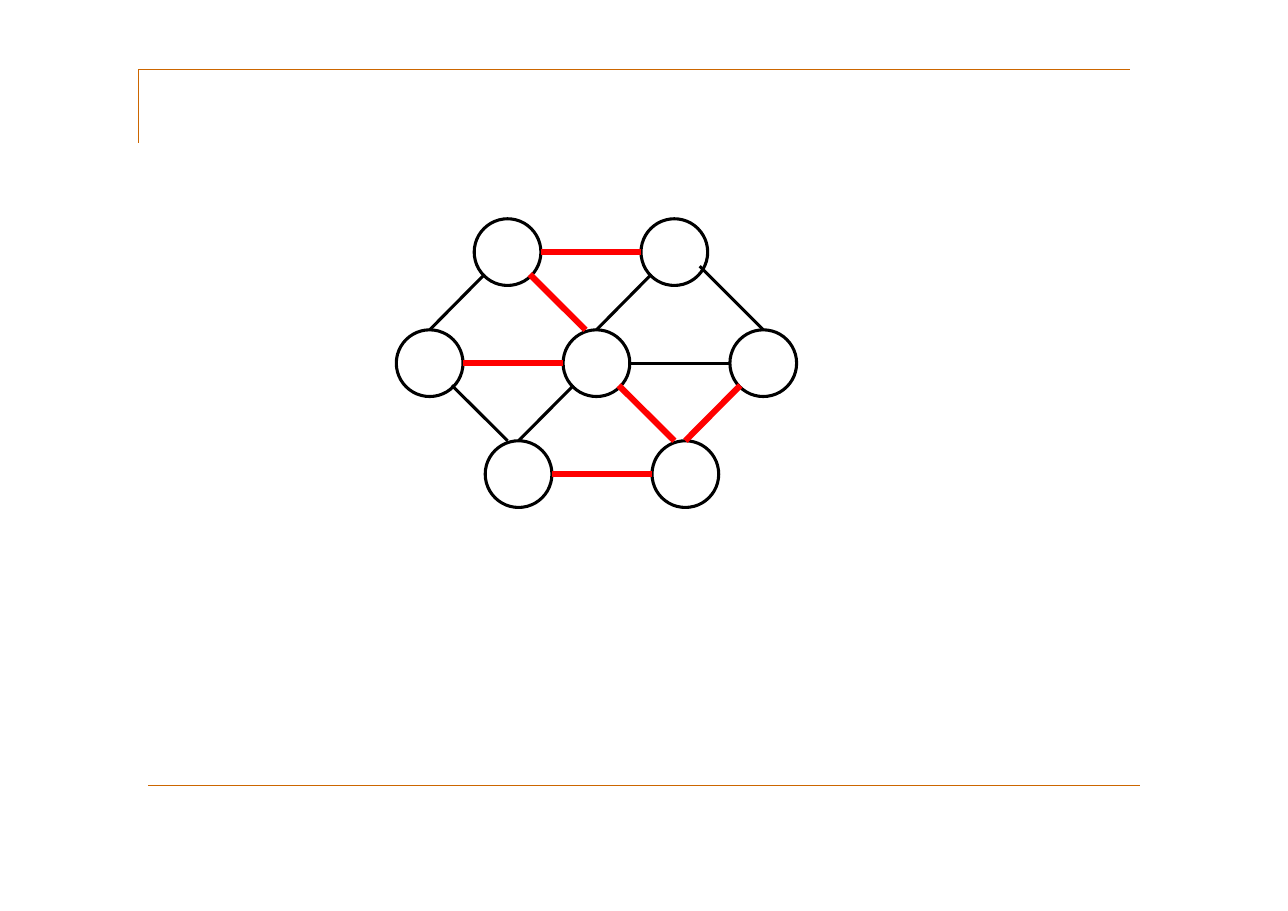
from dataclasses import dataclass

from lxml import etree
from pptx import Presentation
from pptx import util as u
from pptx.dml.color import RGBColor
from pptx.enum import shapes
from pptx.oxml import ns

BLACK = RGBColor(0x00, 0x00, 0x00)
RED = RGBColor(0xFF, 0x00, 0x00)
ORANGE = RGBColor(0xCC, 0x66, 0x00)

RADIUS = 21.8
PITCH = 109
TOP_Y, MIDDLE_Y, BOTTOM_Y = 164.8, 237.4, 309.9

# Where an edge meets a node, relative to the node's centre
ANCHORS = {
    "left": (-RADIUS, 0),
    "right": (RADIUS, 0),
    "top": (0, -RADIUS),
    "top left": (-7.2, -RADIUS),
    "lower left": (-15, 14.5),
    "lower right": (14.5, 14.5),
    "far right": (16.5, 9.2),
}


@dataclass(frozen=True)
class Node:
    x: float
    y: float

    def anchor(self, side: str) -> tuple[float, float]:
        dx, dy = ANCHORS[side]
        return self.x + dx, self.y + dy


@dataclass(frozen=True)
class Edge:
    start: str
    start_side: str
    end: str
    end_side: str
    on_path: bool = False


def row(names: str, left: float, y: float) -> dict[str, Node]:
    """Space the named nodes evenly from the left centre."""
    return {name: Node(left + i * PITCH, y) for i, name in enumerate(names)}


NODES = row("AB", 331.7, TOP_Y) | row("CDE", 280.8, MIDDLE_Y) | row("FG", 338.9, BOTTOM_Y)

EDGES = [
    Edge("D", "right", "E", "left"),
    Edge("A", "lower left", "C", "top"),
    Edge("B", "far right", "E", "top"),
    Edge("C", "lower right", "F", "top left"),
    Edge("B", "lower left", "D", "top"),
    Edge("D", "lower left", "F", "top"),
    Edge("A", "lower right", "D", "top left", on_path=True),
    Edge("A", "right", "B", "left", on_path=True),
    Edge("C", "right", "D", "left", on_path=True),
    Edge("D", "lower right", "G", "top left", on_path=True),
    Edge("F", "right", "G", "left", on_path=True),
    Edge("E", "lower left", "G", "top", on_path=True),
]


def style_outline(sp, color: RGBColor, width: float) -> None:
    sp.line.color.rgb = color
    sp.line.width = u.Pt(width)


def add_line(s, start: tuple[float, float], end: tuple[float, float],
             color: RGBColor, width: float) -> None:
    points = [u.Pt(v) for v in (*start, *end)]
    line = s.shapes.add_connector(shapes.MSO_CONNECTOR.STRAIGHT, *points)
    style_outline(line, color, width)
    etree.SubElement(line._element.spPr, ns.qn("a:effectLst"))


def add_node(s, node: Node) -> None:
    sp = s.shapes.add_shape(
        shapes.MSO_SHAPE.OVAL, u.Pt(node.x - RADIUS), u.Pt(node.y - RADIUS),
        u.Pt(2 * RADIUS), u.Pt(2 * RADIUS))
    sp.shadow.inherit = False
    sp.fill.background()
    style_outline(sp, BLACK, 2)


def add_title_frame(s) -> None:
    """Draw the open corner around the title area."""
    builder = s.shapes.build_freeform(u.Pt(90.5), u.Pt(93.5))
    builder.add_line_segments(
        [(u.Pt(90.5), u.Pt(45.3)), (u.Pt(738.5), u.Pt(45.3))], close=False)
    sp = builder.convert_to_shape()
    sp.shadow.inherit = False
    sp.fill.background()
    style_outline(sp, ORANGE, 1)


def main() -> None:
    prs = Presentation()
    prs.slide_width, prs.slide_height = u.Pt(841.68), u.Pt(595.44)
    s = prs.slides.add_slide(prs.slide_layouts[6])

    add_title_frame(s)
    add_line(s, (97, 513.3), (745, 513.3), ORANGE, 1)
    for node in NODES.values():
        add_node(s, node)
    for edge in EDGES:
        color, width = (RED, 4) if edge.on_path else (BLACK, 2)
        add_line(s, NODES[edge.start].anchor(edge.start_side),
                 NODES[edge.end].anchor(edge.end_side), color, width)

    prs.save("out.pptx")


if __name__ == "__main__":
    main()
